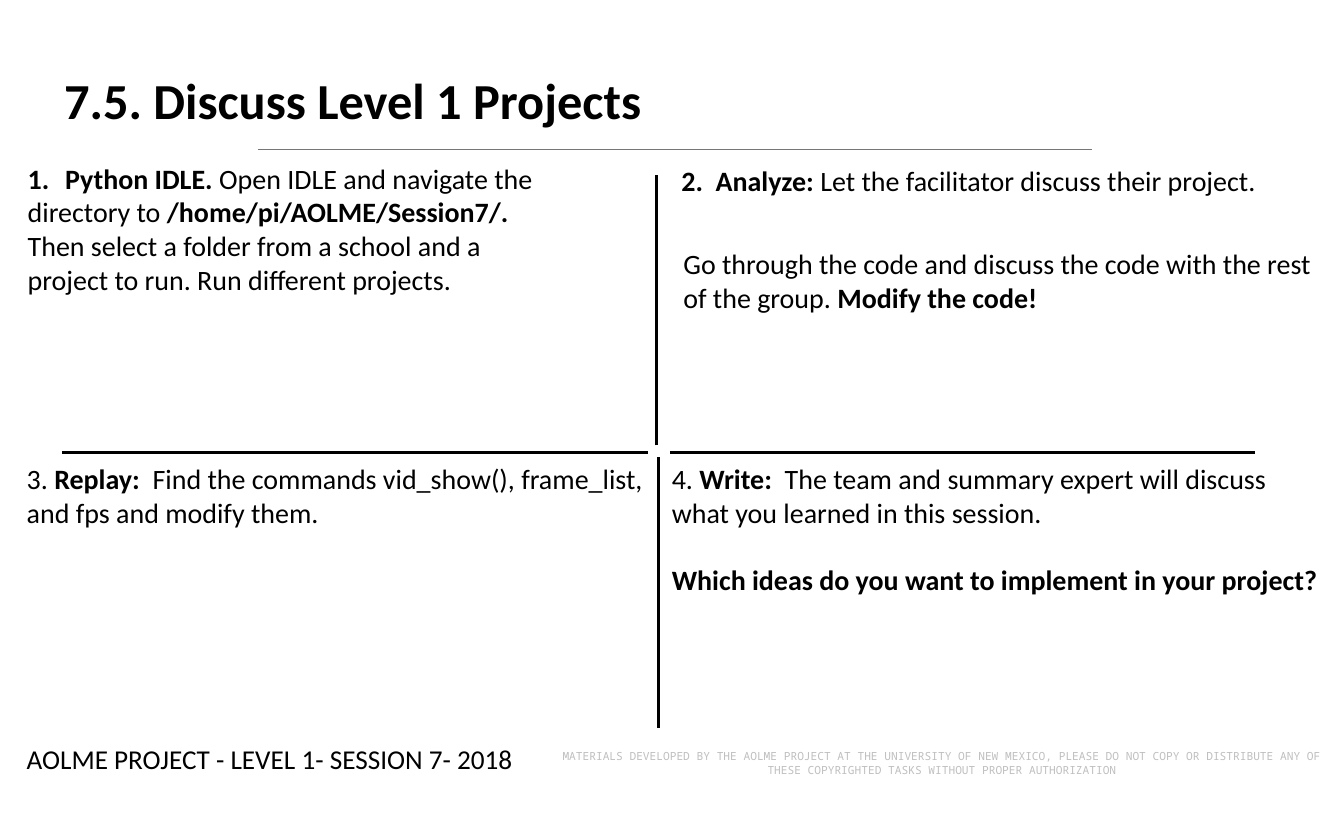
from dataclasses import dataclass

from lxml.etree import SubElement
from pptx import Presentation
from pptx.dml.color import RGBColor
from pptx.enum.shapes import MSO_CONNECTOR
from pptx.enum.text import MSO_ANCHOR, PP_ALIGN
from pptx.oxml.ns import qn
from pptx.util import Inches, Pt

BLACK = RGBColor(0x00, 0x00, 0x00)
GRAY = RGBColor(0x76, 0x76, 0x76)
LIGHT_GRAY = RGBColor(0xBF, 0xBF, 0xBF)
BODY_SIZE = 21


@dataclass(frozen=True)
class Run:
    text: str
    bold: bool = False


@dataclass(frozen=True)
class Para:
    runs: tuple[Run, ...]
    before: float = 0
    indent: float = 0
    numbered: bool = False


@dataclass(frozen=True)
class Box:
    left: float
    top: float
    width: float
    height: float
    paras: tuple[Para, ...]
    size: float = BODY_SIZE
    font: str = "Calibri"
    color: RGBColor = BLACK
    centered: bool = False
    wrap: bool = True


@dataclass(frozen=True)
class Rule:
    x1: float
    y1: float
    x2: float
    y2: float
    color: RGBColor = BLACK
    width: float = 2.25


RULES = (
    Rule(0.65, 4.71, 6.75, 4.71),
    Rule(6.98, 4.71, 13.07, 4.71),
    Rule(6.86, 7.58, 6.86, 4.76),
    Rule(6.84, 4.64, 6.84, 1.82),
    Rule(2.69, 1.56, 11.38, 1.56, GRAY, 1),
)

TITLE = Box(0.57, 0.67, 12.47, 0.74,
            (Para((Run("7.5. Discuss Level 1 Projects", True),)),), size=37.8)

TASKS = (
    Box(0.19, 1.63, 7.03, 1.51, (
        Para((Run("Python IDLE. ", True), Run("Open IDLE and navigate the")),
             indent=0.39, numbered=True),
        Para((Run("directory to "), Run("/home/pi/AOLME/Session7/.", True))),
        Para((Run("Then select a folder from a school and a"),)),
        Para((Run("project to run. Run different projects."),)),
    )),
    Box(6.98, 1.65, 6.47, 0.45, (
        Para((Run("2.  Analyze: ", True),
              Run("Let the facilitator discuss their project.")), indent=0.02),
    )),
    Box(7, 2.52, 6.82, 0.81, (
        Para((Run("Go through the code and discuss the code with the rest of the group. "),
              Run("Modify the code!", True)), indent=0.02),
    )),
    Box(0.18, 4.76, 6.67, 0.81, (
        Para((Run("3. "), Run("Replay:  ", True),
              Run("Find the commands vid_show(), frame_list, and fps and modify them."))),
    )),
    Box(6.9, 4.76, 6.97, 1.87, (
        Para((Run("4. "), Run("Write:  ", True),
              Run("The team and summary expert will discuss what you learned in this session."))),
        Para((Run("Which ideas do you want to implement in your project?", True),), before=25),
    )),
)

FOOTERS = (
    Box(0.18, 7.68, 5.4, 0.44,
        (Para((Run("AOLME PROJECT - LEVEL 1- SESSION 7- 2018"),)),),
        size=20.4, wrap=False),
    Box(5.66, 7.75, 8.31, 0.4,
        (Para((Run("MATERIALS DEVELOPED BY THE AOLME PROJECT AT THE UNIVERSITY OF NEW MEXICO, "
                   "PLEASE DO NOT COPY OR DISTRIBUTE ANY OF THESE COPYRIGHTED TASKS "
                   "WITHOUT PROPER AUTHORIZATION"),)),),
        size=8.4, font="Noto Sans Mono", color=LIGHT_GRAY, centered=True),
)


def add_rule(slide, rule: Rule) -> None:
    line = slide.shapes.add_connector(
        MSO_CONNECTOR.STRAIGHT, Inches(rule.x1), Inches(rule.y1),
        Inches(rule.x2), Inches(rule.y2))
    line.line.color.rgb = rule.color
    line.line.width = Pt(rule.width)
    SubElement(line._element.spPr, qn("a:effectLst"))


def set_indent(p, para: Para) -> None:
    """Indent the paragraph, hanging its number where it has one."""
    p_pr = p._p.get_or_add_pPr()
    p_pr.set("marL", str(Inches(para.indent)))
    p_pr.set("indent", str(-Inches(para.indent) if para.numbered else 0))
    if para.numbered:
        SubElement(p_pr, qn("a:buFont")).set("typeface", "+mj-lt")
        SubElement(p_pr, qn("a:buAutoNum")).set("type", "arabicPeriod")


def add_text(slide, box: Box) -> None:
    sp = slide.shapes.add_textbox(Inches(box.left), Inches(box.top),
                                  Inches(box.width), Inches(box.height))
    tf = sp.text_frame
    tf.word_wrap = box.wrap
    if box.centered:
        tf.vertical_anchor = MSO_ANCHOR.MIDDLE
    for i, para in enumerate(box.paras):
        p = tf.add_paragraph() if i else tf.paragraphs[0]
        set_indent(p, para)
        p.alignment = PP_ALIGN.CENTER if box.centered else PP_ALIGN.LEFT
        if para.before:
            p.space_before = Pt(para.before)
        p.font.name = box.font
        p.font.size = Pt(box.size)
        p.font.color.rgb = box.color
        for run in para.runs:
            r = p.add_run()
            r.text = run.text
            r.font.bold = run.bold


def main() -> None:
    prs = Presentation()
    prs.slide_width, prs.slide_height = Inches(14), Inches(8.5)
    slide = prs.slides.add_slide(prs.slide_layouts[6])
    for rule in RULES:
        add_rule(slide, rule)
    for box in (TITLE, *TASKS, *FOOTERS):
        add_text(slide, box)
    prs.save("out.pptx")


if __name__ == "__main__":
    main()
